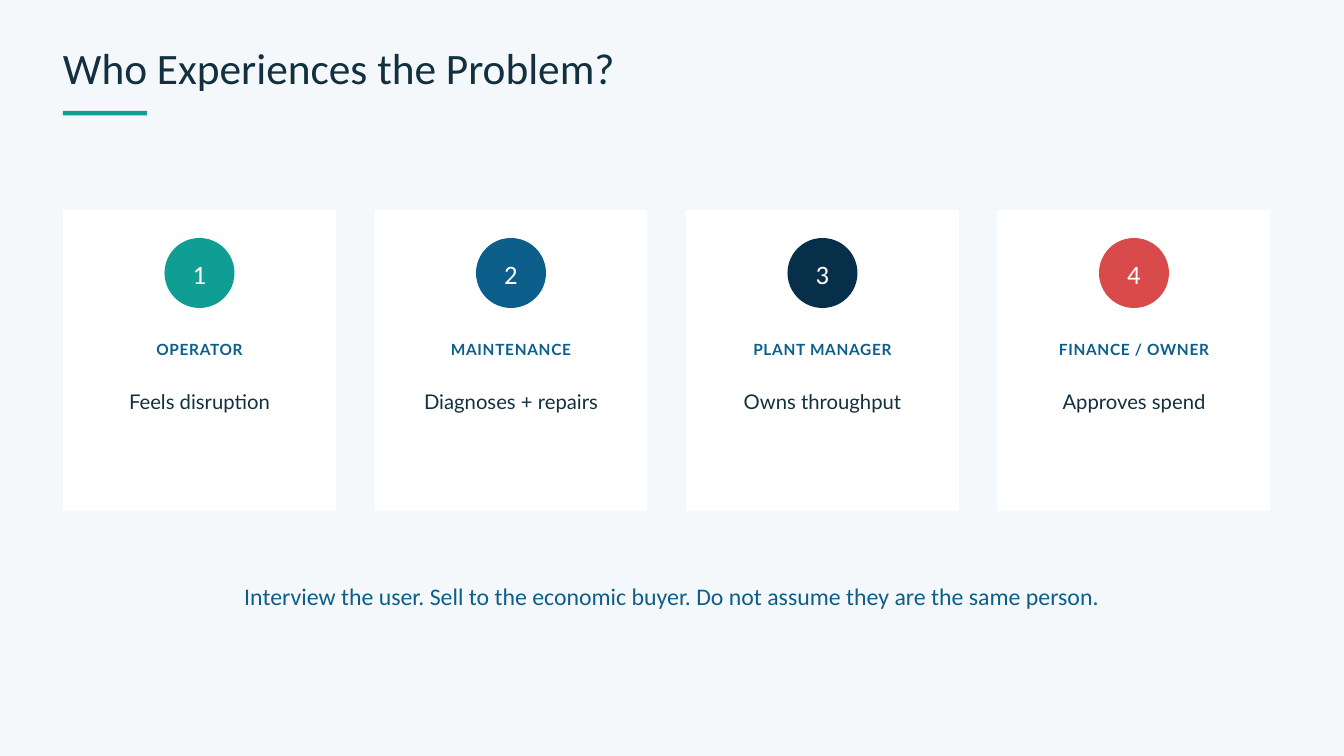
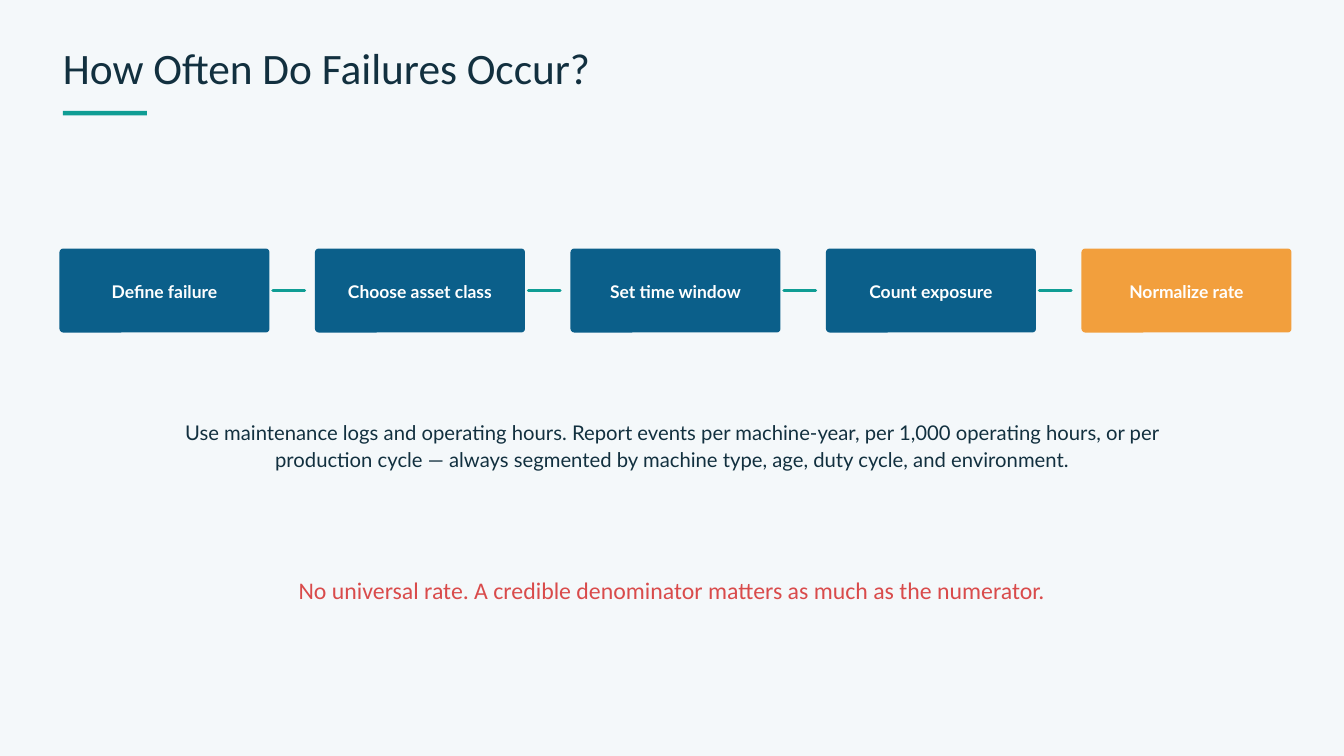
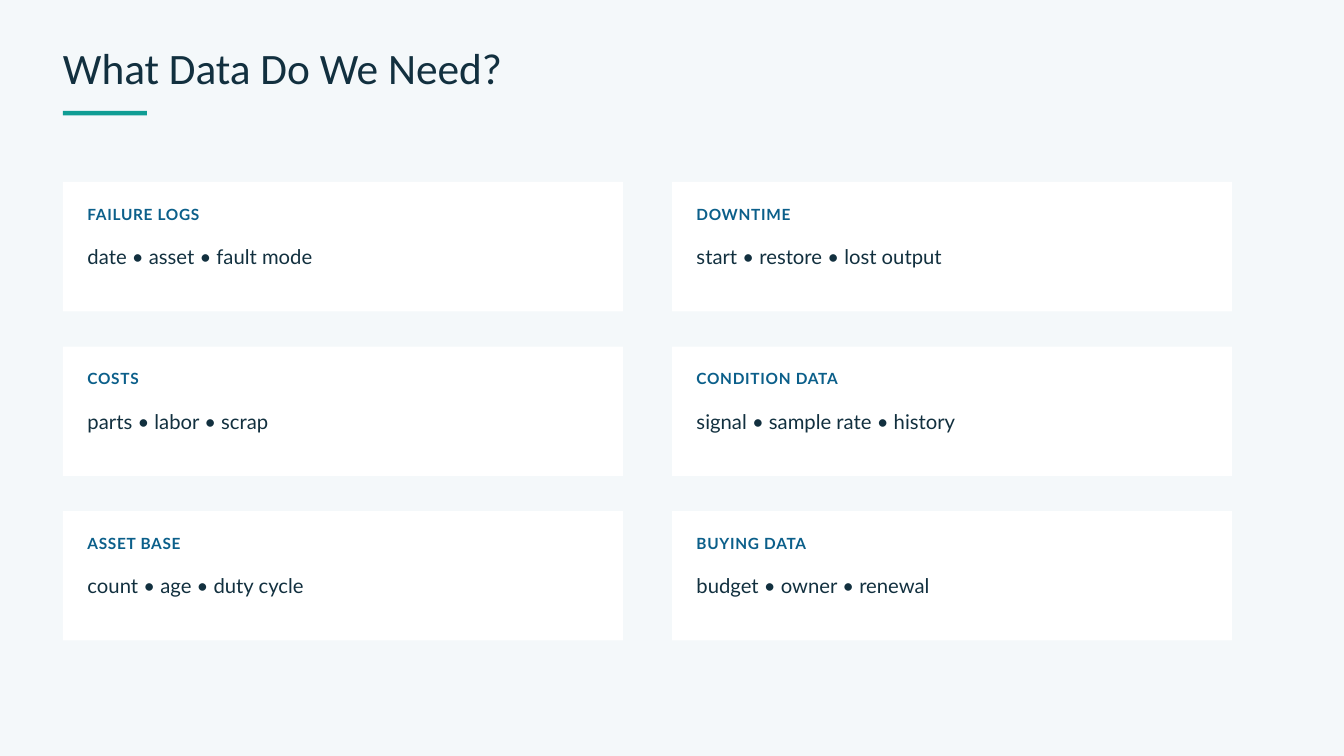
from pptx import Presentation
from pptx.dml.color import RGBColor
from pptx.enum import shapes, text
from pptx.oxml import xmlchemy as xml
from pptx.util import Pt

PALE = RGBColor(0xF4, 0xF8, 0xFA)
WHITE = RGBColor(0xFF, 0xFF, 0xFF)
INK = RGBColor(0x12, 0x30, 0x3F)
TEAL = RGBColor(0x0F, 0x9D, 0x94)
BLUE = RGBColor(0x0B, 0x5F, 0x8A)
NAVY = RGBColor(0x08, 0x2F, 0x49)
RED = RGBColor(0xD9, 0x4B, 0x4B)
AMBER = RGBColor(0xF2, 0x9F, 0x3D)

HEAD, BODY = "Calibri", "Lato"
LEFT, CENTER = text.PP_ALIGN.LEFT, text.PP_ALIGN.CENTER
TOP, MIDDLE = text.MSO_ANCHOR.TOP, text.MSO_ANCHOR.MIDDLE
KIND = shapes.MSO_SHAPE

EDGE = 67.5     # left margin shared by titles and cards
INSET = 26.25   # from a card's left side to its text


class Deck:
    """Holds the presentation, its style and the current slide."""

    def __init__(self):
        self.prs = Presentation()
        self.prs.slide_width, self.prs.slide_height = Pt(1440), Pt(810)
        fill = self.prs.slide_master.background.fill
        fill.solid()
        fill.fore_color.rgb = PALE

    def page(self, title):
        self.slide = self.prs.slides.add_slide(self.prs.slide_layouts[5])
        head = self.slide.shapes.title
        head.left, head.top, head.width, head.height = map(Pt, (EDGE, 51, 1305, 51))
        self.letter(head, title, HEAD, 46.5, INK, 48.75, LEFT)
        self.block(KIND.RECTANGLE, EDGE, 118.75, 90, 5, TEAL)

    def letter(self, shape, words, face, size, color, pitch, align=CENTER,
               anchor=TOP, bold=False, low=0):
        """Fill a shape with one paragraph; pitch is the line height, low the bottom inset."""
        frame = shape.text_frame
        frame.text = words
        frame.word_wrap = True
        frame.auto_size = text.MSO_AUTO_SIZE.NONE
        frame.vertical_anchor = anchor
        frame.margin_left = frame.margin_top = frame.margin_right = 0
        frame.margin_bottom = Pt(low)
        para = frame.paragraphs[0]
        para.alignment = align
        para.line_spacing = Pt(pitch)
        font = para.runs[0].font
        font.name, font.size, font.bold = face, Pt(size), bold
        font.color.rgb = color
        return para.runs[0]

    def block(self, kind, x, y, w, h, color):
        shape = self.slide.shapes.add_shape(kind, Pt(x), Pt(y), Pt(w), Pt(h))
        shape.shadow.inherit = False
        shape.fill.solid()
        shape.fill.fore_color.rgb = color
        shape.line.fill.background()
        return shape

    def box(self, x, y, w, h):
        return self.slide.shapes.add_textbox(Pt(x), Pt(y), Pt(w), Pt(h))

    def label(self, words, x, y, w, align):
        """Small bold heading with spaced letters."""
        run = self.letter(self.box(x, y, w, 22.5), words, BODY, 16.5, BLUE,
                          23.1, align, bold=True)
        run.font._element.set("spc", "80")

    def note(self, words, x, y, w, align, h=27.5):
        self.letter(self.box(x, y, w, h), words, BODY, 21.75, INK, 28.28, align)

    def moral(self, words, x, y, w, color):
        self.letter(self.box(x, y, w, 34), words, HEAD, 25.5, color, 35.7)

    def badge(self, words, x, y, size, color):
        disc = self.block(KIND.OVAL, x, y, size, size, color)
        self.letter(disc, words, HEAD, 28.5, WHITE, 39.9, anchor=MIDDLE, low=4)

    def step(self, words, x, y, w, h, color):
        tile = self.block(KIND.ROUNDED_RECTANGLE, x, y, w, h, color)
        tile.adjustments[0] = 4 / h
        self.letter(tile, words, BODY, 18.75, WHITE, 26.25, anchor=MIDDLE,
                    bold=True, low=2)

    def dash(self, x, y, w):
        link = self.slide.shapes.add_connector(
            shapes.MSO_CONNECTOR.STRAIGHT, Pt(x), Pt(y), Pt(x + w), Pt(y))
        link.line.color.rgb = TEAL
        link.line.width = Pt(3.75)
        link.get_or_add_ln().set("cap", "rnd")
        link._element.spPr.append(xml.OxmlElement("a:effectLst"))


def roles(deck):
    deck.page("Who Experiences the Problem?")
    wide, disc = 292.5, 75
    people = [
        ("OPERATOR", "Feels disruption", TEAL),
        ("MAINTENANCE", "Diagnoses + repairs", BLUE),
        ("PLANT MANAGER", "Owns throughput", NAVY),
        ("FINANCE / OWNER", "Approves spend", RED),
    ]
    for i, (role, part, color) in enumerate(people):
        x = EDGE + i * 333.75
        deck.block(KIND.RECTANGLE, x, 225, wide, 322.5, WHITE)
        deck.badge(str(i + 1), x + (wide - disc) / 2, 255, disc, color)
        deck.label(role, x + INSET, 361, wide - 2 * INSET, CENTER)
        deck.note(part, x + INSET, 415, wide - 2 * INSET, CENTER)
    deck.moral("Interview the user. Sell to the economic buyer. "
               "Do not assume they are the same person.", 187.5, 618.5, 1065, BLUE)


def rates(deck):
    deck.page("How Often Do Failures Occur?")
    y, wide, high = 266.25, 225, 90
    steps = ["Define failure", "Choose asset class", "Set time window",
             "Count exposure", "Normalize rate"]
    for i, name in enumerate(steps):
        x = 63.75 + i * 273.75
        last = i == len(steps) - 1
        deck.step(name, x, y, wide, high, AMBER if last else BLUE)
        if not last:
            deck.dash(x + wide + 3.75, y + high / 2, 33.75)
    deck.note("Use maintenance logs and operating hours. Report events per "
              "machine-year, per 1,000 operating hours, or per production cycle — "
              "always segmented by machine type, age, duty cycle, and environment.",
              165, 448.5, 1110, CENTER, 55)
    deck.moral("No universal rate. A credible denominator matters as much as "
               "the numerator.", 247.5, 611.25, 945, RED)


def data(deck):
    deck.page("What Data Do We Need?")
    needs = [
        ("FAILURE LOGS", "date • asset • fault mode"),
        ("DOWNTIME", "start • restore • lost output"),
        ("COSTS", "parts • labor • scrap"),
        ("CONDITION DATA", "signal • sample rate • history"),
        ("ASSET BASE", "count • age • duty cycle"),
        ("BUYING DATA", "budget • owner • renewal"),
    ]
    for i, (name, items) in enumerate(needs):
        row, col = divmod(i, 2)
        x, y = EDGE + col * 652.5, 195 + row * 176.25
        deck.block(KIND.RECTANGLE, x, y, 600, 138.75, WHITE)
        deck.label(name, x + INSET, y + 21, 232.5, LEFT)
        deck.note(items, x + INSET, y + 64.5, 525, LEFT)


def main():
    deck = Deck()
    for build in (roles, rates, data):
        build(deck)
    deck.prs.save("out.pptx")


if __name__ == "__main__":
    main()
